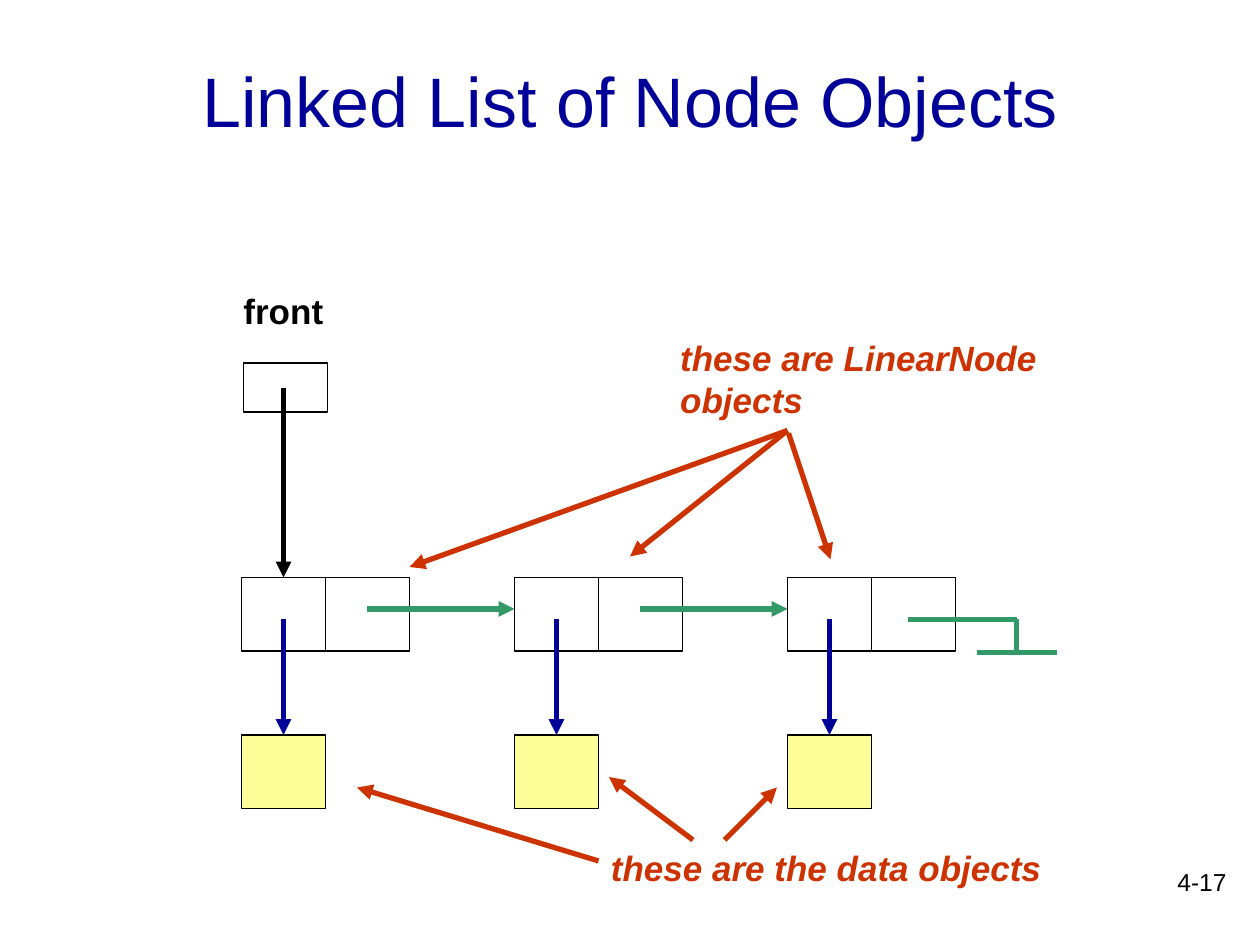
import pptx
import pptx.util
import pptx.dml.color
import pptx.enum.shapes
import pptx.enum.text
import lxml.etree

Pt = pptx.util.Pt
RGB = pptx.dml.color.RGBColor
Align = pptx.enum.text.PP_ALIGN
Anchor = pptx.enum.text.MSO_ANCHOR
Fit = pptx.enum.text.MSO_AUTO_SIZE
Rect = pptx.enum.shapes.MSO_SHAPE.RECTANGLE
Line = pptx.enum.shapes.MSO_CONNECTOR.STRAIGHT

BLACK = RGB(0, 0, 0)
NAVY = RGB(0, 0, 0x99)
GREEN = RGB(0x33, 0x99, 0x66)
RED = RGB(0xCC, 0x33, 0)
YELLOW = RGB(0xFF, 0xFF, 0x99)

TITLE = ("Linked List of Node Objects", (54, 12, 612, 90))
TITLE_FONT = {"name": "Arial", "size": Pt(40)}
NOTE_FONT = {"name": "Arial", "size": Pt(20), "bold": True, "italic": True}
LABELS = [
    ("front", (132, 162, 84, 32), BLACK, Align.LEFT,
     {"name": "Arial", "size": Pt(20), "bold": True}),
    ("these are LinearNode objects", (381.6, 188.6, 244, 55.4), RED, Align.LEFT, NOTE_FONT),
    ("these are the data objects", (342, 480, 294, 32), RED, Align.LEFT, NOTE_FONT),
    ("4-17", (558, 492, 150, 36), BLACK, Align.RIGHT,
     {"name": "Arial", "size": Pt(14)}),
]
POINTERS = [
    ((450, 246), (234, 324)),
    ((450, 246), (360, 318)),
    ((450.6, 247.6), (474.6, 319.6)),
    ((414, 480), (444, 450)),
    ((396, 480), (348, 444)),
    ((342, 492), (204, 450)),
]
GROUND = [
    ((518.6, 354), (581, 354)),
    ((581, 354), (581, 373)),
    ((558, 373), (604, 373)),
]
COUNT, LEFT, PITCH = 3, 138, 156
WIDE, HIGH = 48, 42
NODE_TOP, DATA_TOP = 330, 420
FRONT = (139, 207.4, WIDE, 28)


def write(shape, text, font, color, align):
    frame = shape.text_frame
    frame.word_wrap = True
    frame.text = text
    para = frame.paragraphs[0]
    para.alignment = align
    for key, value in font.items():
        setattr(para.font, key, value)
    para.font.color.rgb = color
    return frame


def box(slide, place, fill=None):
    shape = slide.shapes.add_shape(Rect, *map(Pt, place))
    shape.shadow.inherit = False
    if fill is None:
        shape.fill.background()
    else:
        shape.fill.solid()
        shape.fill.fore_color.rgb = fill
    shape.line.color.rgb = BLACK
    shape.line.width = Pt(0.75)
    return shape


def draw(slide, start, end, color, arrow=True, goal=None):
    line = slide.shapes.add_connector(Line, *map(Pt, start + end))
    if goal is not None:
        line.end_connect(goal, 0)
    line.line.color.rgb = color
    line.line.width = Pt(3)
    props = line._element.spPr
    space = "{%s}" % props.nsmap["a"]
    if arrow:
        stroke = props.find(space + "ln")
        lxml.etree.SubElement(stroke, space + "tailEnd", type="triangle")
    lxml.etree.SubElement(props, space + "effectLst")


def main():
    deck = pptx.Presentation()
    deck.slide_width, deck.slide_height = Pt(720), Pt(540)
    slide = deck.slides.add_slide(deck.slide_layouts[5])

    text, place = TITLE
    title = slide.shapes.title
    title.left, title.top, title.width, title.height = map(Pt, place)
    frame = write(title, text, TITLE_FONT, NAVY, Align.CENTER)
    frame.vertical_anchor = Anchor.MIDDLE

    box(slide, FRONT)
    lefts = [LEFT + PITCH * i for i in range(COUNT)]
    cells, data = [], []
    for x in lefts:
        data.append(box(slide, (x, DATA_TOP, WIDE, HIGH), YELLOW))
        cells.append(box(slide, (x, NODE_TOP, WIDE, HIGH)))
        box(slide, (x + WIDE, NODE_TOP, WIDE, HIGH))

    mid = LEFT + WIDE / 2
    draw(slide, (mid, 222), (mid, NODE_TOP), BLACK, goal=cells[0])
    for x, goal in zip(lefts, data):
        mid = x + WIDE / 2
        draw(slide, (mid, 354), (mid, DATA_TOP), NAVY, goal=goal)
    for x, after in zip(lefts, lefts[1:]):
        draw(slide, (x + WIDE * 1.5, 348), (after, 348), GREEN)
    for start, end in POINTERS:
        draw(slide, start, end, RED)
    for start, end in GROUND:
        draw(slide, start, end, GREEN, arrow=False)

    for text, place, color, align, font in LABELS:
        label = slide.shapes.add_textbox(*map(Pt, place))
        frame = write(label, text, font, color, align)
        if color == RED or align == Align.LEFT:
            frame.auto_size = Fit.SHAPE_TO_FIT_TEXT

    deck.save("out.pptx")


if __name__ == "__main__":
    main()
